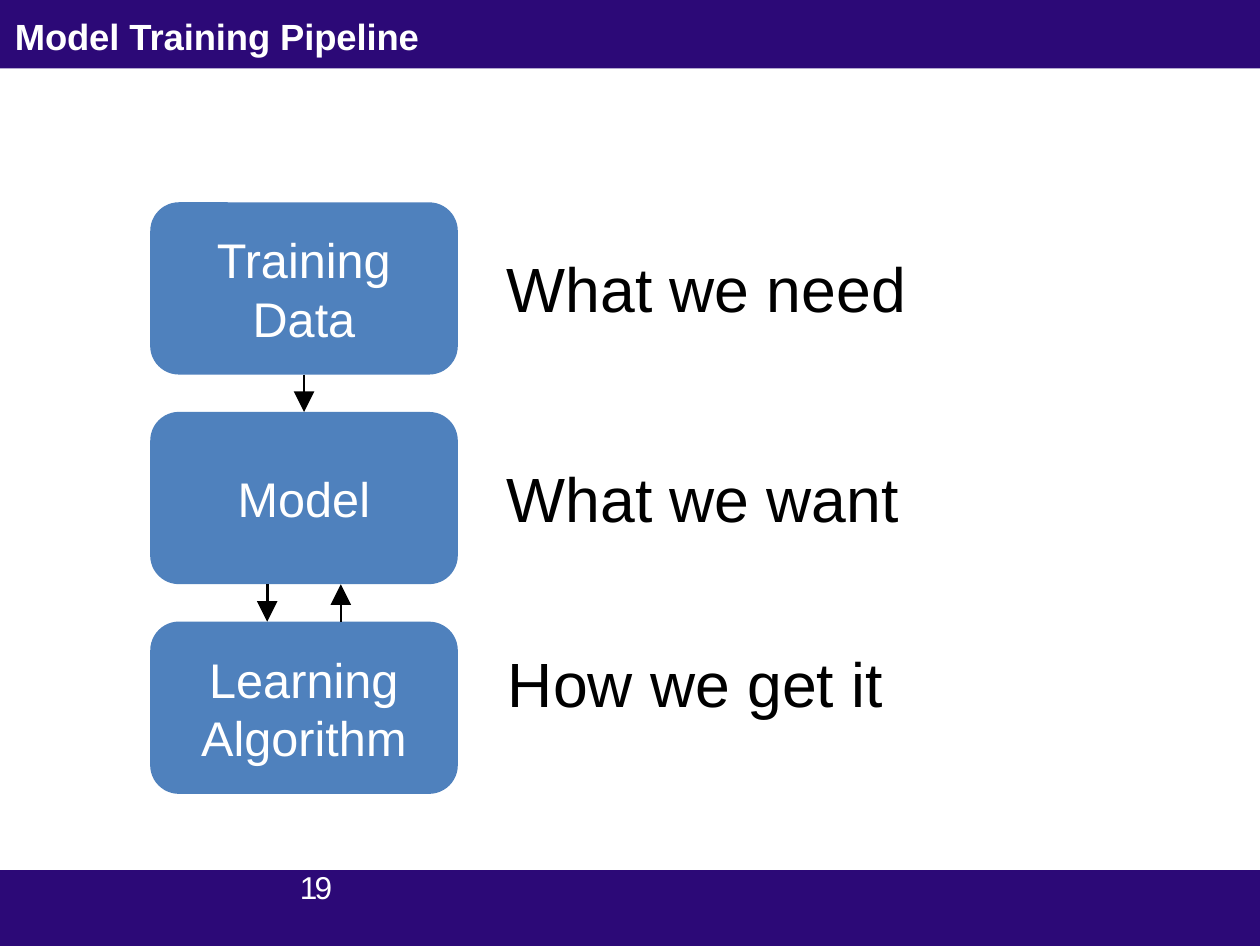
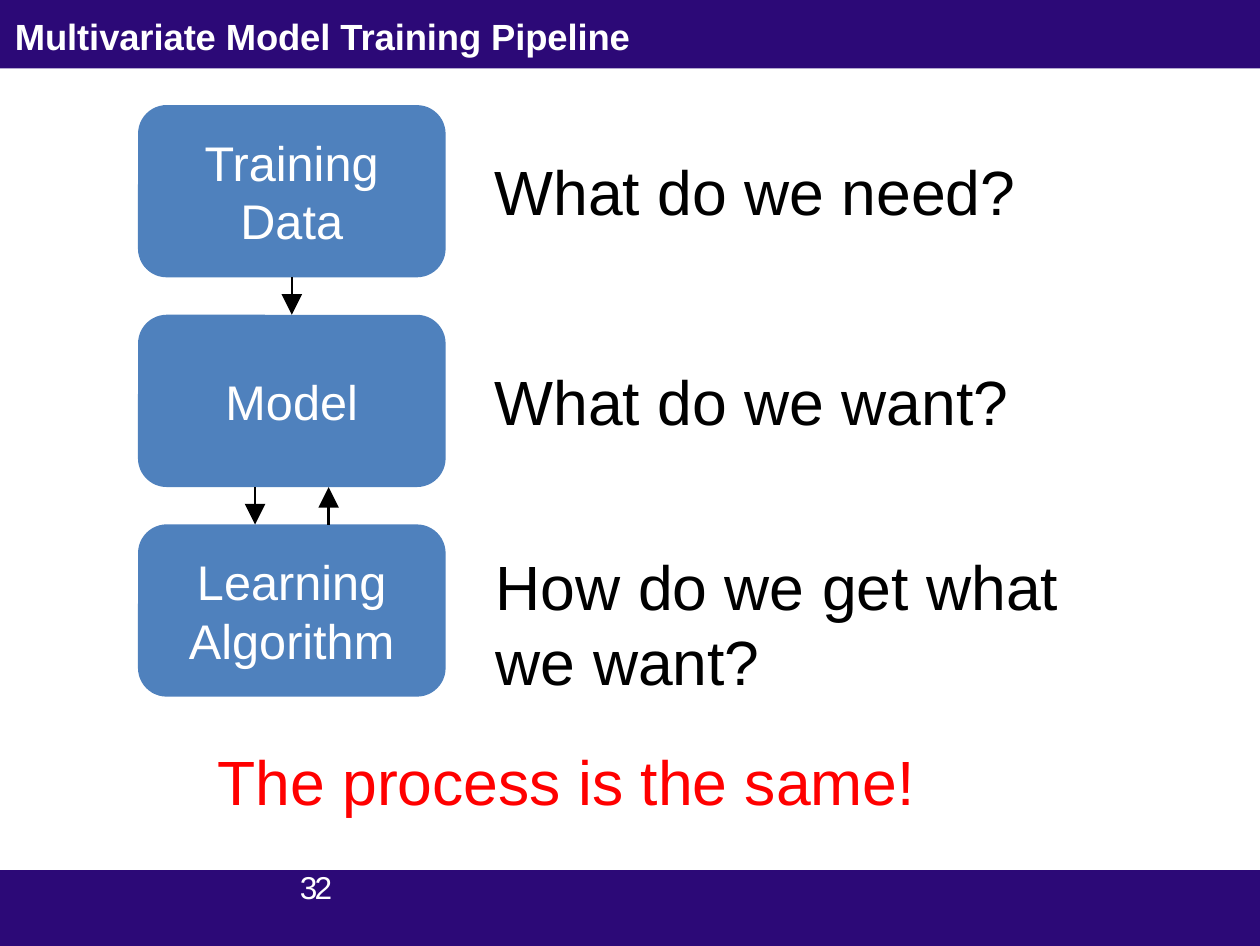
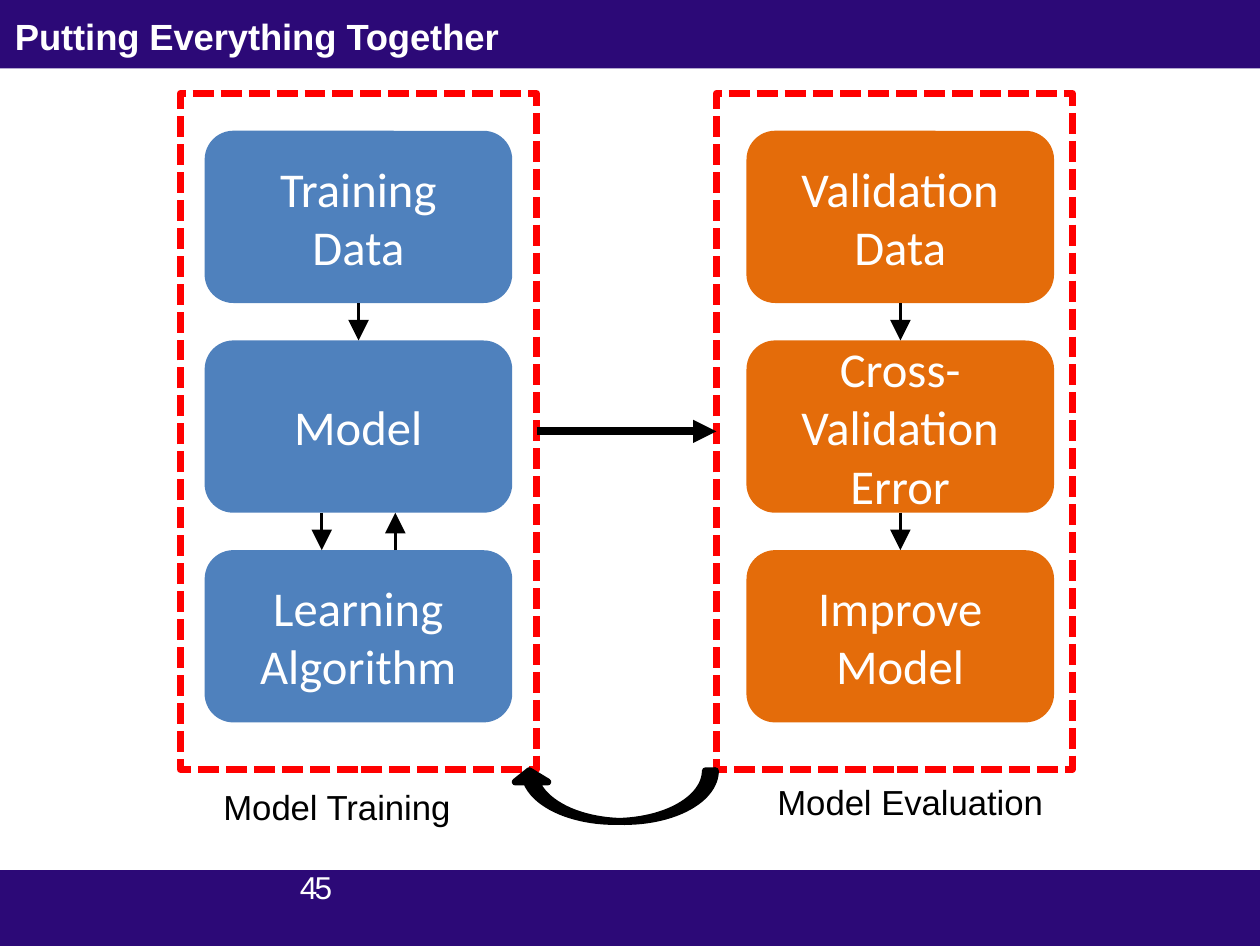
from lxml import etree
from pptx import Presentation
from pptx.dml.color import RGBColor
from pptx.enum import dml, shapes, text
from pptx.oxml import ns
from pptx.util import Pt

PURPLE = RGBColor(0x2C, 0x09, 0x77)
BLUE = RGBColor(0x4F, 0x81, 0xBD)
ORANGE = RGBColor(0xE4, 0x6C, 0x0A)
RED = RGBColor(0xFF, 0x00, 0x00)
BLACK = RGBColor(0x00, 0x00, 0x00)
WHITE = RGBColor(0xFF, 0xFF, 0xFF)

SLIDE_W, SLIDE_H = 363, 272.5
HEADER_H, FOOTER_TOP = 19.7, 250.6
BOX_W, BOX_H, PITCH = 88.6, 49.6, 60.4
LOOP_OFFSET = 10.6
CAPTION_W = 191.5
CAPTION_PLACES = ((95.6, 10.2), (95.6, 70.6), (96, 123.9))
FRAME_TOP, FRAME_W, FRAME_H = 26.9, 102.6, 194.7
TRAINING_STEPS = ("Training Data", "Model", "Learning Algorithm")
EVALUATION_STEPS = ("Validation Data", "Cross-Validation Error", "Improve Model")


def write(tf, words, size=18, font="Arial", color=BLACK, bold=False,
          align=text.PP_ALIGN.LEFT, anchor=text.MSO_ANCHOR.TOP, inset=None):
    """Write one formatted paragraph in a text frame and return it."""
    tf.word_wrap = True
    tf.auto_size = text.MSO_AUTO_SIZE.NONE
    tf.vertical_anchor = anchor
    if inset is not None:
        tf.margin_left = tf.margin_top = tf.margin_right = tf.margin_bottom = Pt(inset)
    p = tf.paragraphs[0]
    p.alignment = align
    r = p.add_run()
    r.text = words
    r.font.size, r.font.name, r.font.bold = Pt(size), font, bold
    r.font.color.rgb = color
    return p


def add_text(s, words, x, y, w, h, **fmt):
    """Add a text box and return its paragraph."""
    box = s.shapes.add_textbox(Pt(x), Pt(y), Pt(w), Pt(h))
    return write(box.text_frame, words, **fmt)


def add_block(s, kind, x, y, w, h, fill=None, line=None, weight=2):
    """Add a preset shape with an optional fill and outline."""
    sp = s.shapes.add_shape(kind, Pt(x), Pt(y), Pt(w), Pt(h))
    sp.shadow.inherit = False
    if fill is None:
        sp.fill.background()
    else:
        sp.fill.solid()
        sp.fill.fore_color.rgb = fill
    if line is None:
        sp.line.fill.background()
    else:
        sp.line.color.rgb = line
        sp.line.width = Pt(weight)
    return sp


def add_arrow(s, x1=0, y1=0, x2=0, y2=0, start=None, end=None, weight=0.75):
    """Add an arrow between two points or two (shape, site) joints."""
    line = s.shapes.add_connector(shapes.MSO_CONNECTOR.STRAIGHT,
                                  Pt(x1), Pt(y1), Pt(x2), Pt(y2))
    if start:
        line.begin_connect(*start)
    if end:
        line.end_connect(*end)
    line.line.color.rgb = BLACK
    line.line.width = Pt(weight)
    etree.SubElement(line.line._get_or_add_ln(), ns.qn("a:tailEnd"), type="triangle")
    etree.SubElement(line.element.spPr, ns.qn("a:effectLst"))


def add_bands(s):
    """Place the header and footer bands on the layout of a slide."""
    lay = s.slide_layout
    for ph in list(lay.placeholders)[1:]:
        ph.element.getparent().remove(ph.element)
    for y, h in ((0, HEADER_H), (FOOTER_TOP, SLIDE_H - FOOTER_TOP)):
        band = add_block(s, shapes.MSO_SHAPE.RECTANGLE, 0, y, SLIDE_W, h, fill=PURPLE)
        lay.shapes.element.insert(2, band.element)


def new_slide(prs, title, number):
    """Add a slide with its title and page number."""
    s = prs.slides.add_slide(prs.slide_layouts[5])
    if len(prs.slides) == 1:
        add_bands(s)
    t = s.shapes.title
    t.left, t.top, t.width, t.height = Pt(4.32), Pt(4), Pt(354), Pt(12)
    write(t.text_frame, title, size=10.5, color=WHITE, bold=True, inset=0)
    p = add_text(s, number, 12.2, 253.1, 83.6, 8, size=9.1, color=WHITE,
                 align=text.PP_ALIGN.RIGHT, inset=0)
    p.line_spacing = Pt(7.7)
    p.runs[0].font._element.set("spc", "-80")
    return s


def add_stack(s, x, y, steps, fill=BLUE, font="Arial", loop=True):
    """Draw three steps joined downward, the last two optionally as a loop."""
    boxes = []
    for i, step in enumerate(steps):
        sp = add_block(s, shapes.MSO_SHAPE.ROUNDED_RECTANGLE,
                       x, y + i * PITCH, BOX_W, BOX_H, fill=fill)
        write(sp.text_frame, step, size=14, font=font, color=WHITE,
              align=text.PP_ALIGN.CENTER, anchor=text.MSO_ANCHOR.MIDDLE)
        boxes.append(sp)
    top, middle, bottom = boxes
    add_arrow(s, start=(top, 2), end=(middle, 0))
    if loop:
        mid, upper, lower = x + BOX_W / 2, y + PITCH + BOX_H, y + 2 * PITCH
        add_arrow(s, mid - LOOP_OFFSET, upper, mid - LOOP_OFFSET, lower)
        add_arrow(s, mid + LOOP_OFFSET, lower, mid + LOOP_OFFSET, upper)
    else:
        add_arrow(s, start=(middle, 2), end=(bottom, 0))


def add_pipeline(s, x, y, captions):
    """Draw the training stack with a caption beside each step."""
    add_stack(s, x, y, TRAINING_STEPS)
    for caption, (dx, dy) in zip(captions, CAPTION_PLACES):
        add_text(s, caption, x + dx, y + dy, CAPTION_W, 28.8)


def add_panel(s, x, pad, label, label_x, label_y, steps, **style):
    """Draw a labelled dashed frame around a stack and return the frame."""
    add_stack(s, x + pad, FRAME_TOP + 10.8, steps, font="Calibri", **style)
    frame = add_block(s, shapes.MSO_SHAPE.RECTANGLE, x, FRAME_TOP,
                      FRAME_W, FRAME_H, line=RED)
    frame.line.dash_style = dml.MSO_LINE.SQUARE_DOT
    add_text(s, label, x + label_x, label_y, 92.2, 19.4, size=10)
    return frame


def main():
    """Build the deck."""
    prs = Presentation()
    prs.slide_width, prs.slide_height = Pt(SLIDE_W), Pt(SLIDE_H)

    s = new_slide(prs, "Model Training Pipeline", "19")
    add_pipeline(s, 43.3, 58.3, ("What we need", "What we want", "How we get it"))

    s = new_slide(prs, "Multivariate Model Training Pipeline", "32")
    add_pipeline(s, 39.8, 30.3, ("What do we need?", "What do we want?",
                                 "How do we get what we want?"))
    add_text(s, "The process is the same!", 55.6, 210.4, 226.8, 28.8, color=RED)

    s = new_slide(prs, "Putting Everything Together", "45")
    training = add_panel(s, 52, 7, "Model Training", 5.3, 222.7, TRAINING_STEPS)
    evaluation = add_panel(s, 206.4, 8.7, "Model Evaluation", 10.5, 221.5,
                           EVALUATION_STEPS, fill=ORANGE, loop=False)
    add_arrow(s, start=(training, 3), end=(evaluation, 1), weight=2.25)
    back = add_block(s, shapes.MSO_SHAPE.CURVED_DOWN_ARROW, 147.8, 222, 58.3, 14.6,
                     fill=BLACK, line=BLACK)
    back.rotation = 180
    for i, value in enumerate((0.2, 0.64, 0.22)):
        back.adjustments[i] = value

    prs.save("out.pptx")


if __name__ == "__main__":
    main()
